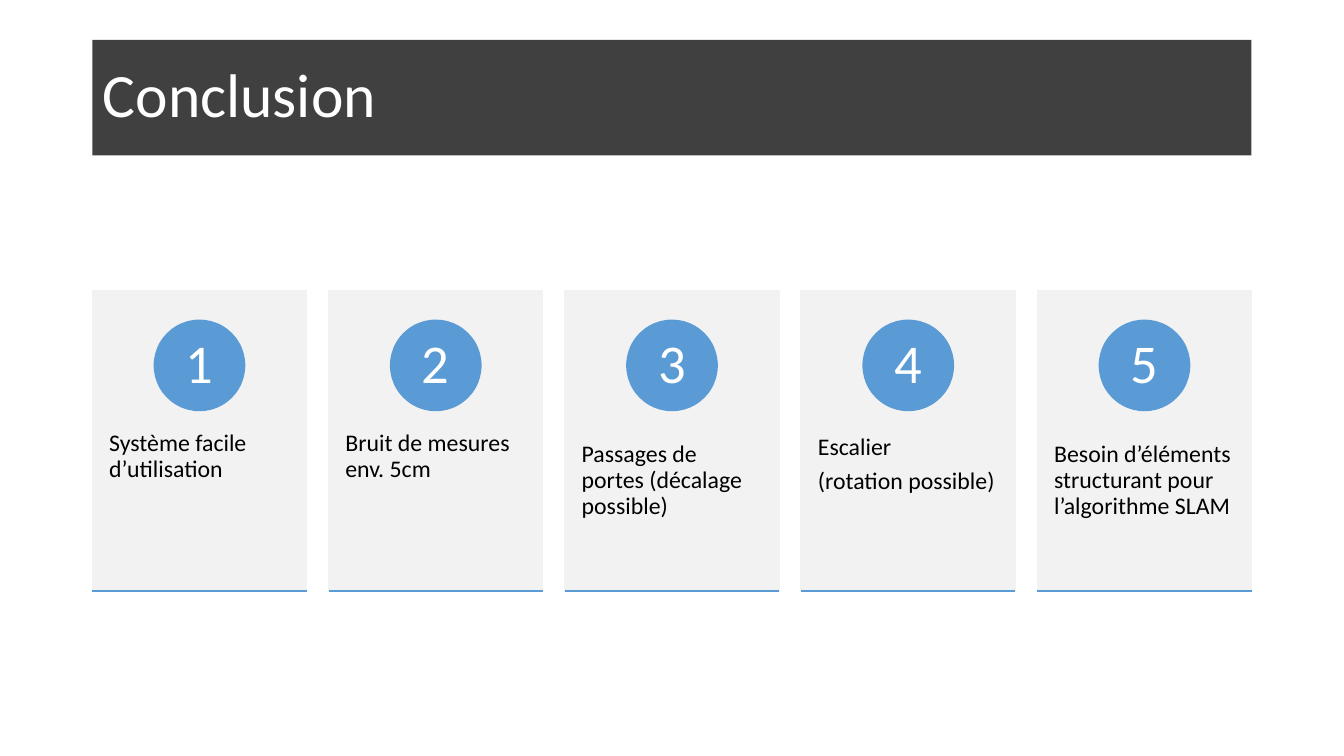
import dataclasses

import pptx
import pptx.dml.color
import pptx.enum.shapes
import pptx.enum.text
import pptx.util
from lxml import etree

EMU_PER_PX = 9525
SHAPES = pptx.enum.shapes.MSO_SHAPE
ALIGN = pptx.enum.text.PP_ALIGN
ANCHOR = pptx.enum.text.MSO_ANCHOR


@dataclasses.dataclass(frozen=True)
class Theme:
    font: str = "Calibri"
    banner: str = "404040"
    card: str = "F2F2F2"
    accent: str = "5B9BD5"
    light_text: str = "FFFFFF"
    dark_text: str = "000000"
    title_size: int = 44
    number_size: int = 39
    body_size: int = 17
    paragraph_gap: int = 6
    line_width: int = 1


THEME = Theme()
TITLE = "Conclusion"
CARDS = [
    ["Système facile d’utilisation"],
    ["Bruit de mesures env. 5cm"],
    ["Passages de portes (décalage possible)"],
    ["Escalier", "(rotation possible)"],
    ["Besoin d’éléments structurant pour l’algorithme SLAM"],
]

# Layout in px
LEFT = 88
CONTENT_WIDTH = 1104
CARD_TOP, CARD_WIDTH, CARD_HEIGHT = 277, 204, 286
CARD_PITCH = (CONTENT_WIDTH - CARD_WIDTH) // (len(CARDS) - 1)
CIRCLE_TOP, CIRCLE_SIZE = 305, 86
BODY_TOP, BODY_HEIGHT = 386, 172


def px(length):
    return pptx.util.Emu(length * EMU_PER_PX)


def rgb(color):
    return pptx.dml.color.RGBColor.from_string(color)


def add_filled(page, kind, bounds, color, outlined=True):
    shape = page.shapes.add_shape(kind, *map(px, bounds))
    shape.shadow.inherit = False
    shape.fill.solid()
    shape.fill.fore_color.rgb = rgb(color)
    if outlined:
        shape.line.color.rgb = rgb(color)
        shape.line.width = pptx.util.Pt(THEME.line_width)
    else:
        shape.line.fill.background()
    return shape


def write_text(shape, lines, size, color, align=ALIGN.LEFT,
               anchor=ANCHOR.MIDDLE, insets=(10, 5)):
    frame = shape.text_frame
    frame.word_wrap = True
    frame.vertical_anchor = anchor
    frame.margin_left = frame.margin_right = px(insets[0])
    frame.margin_top = frame.margin_bottom = px(insets[1])
    frame.text = "\n".join(lines)
    for para in frame.paragraphs:
        para.alignment = align
        para.line_spacing = 0.9
        para.space_after = pptx.util.Pt(THEME.paragraph_gap if len(lines) > 1 else 0)
        para.font.name = THEME.font
        para.font.size = pptx.util.Pt(size)
        para.font.color.rgb = rgb(color)


def add_rule(page, left, top, width):
    rule = page.shapes.add_connector(
        pptx.enum.shapes.MSO_CONNECTOR.STRAIGHT,
        px(left), px(top), px(left + width), px(top))
    rule.line.color.rgb = rgb(THEME.accent)
    rule.line.width = pptx.util.Pt(THEME.line_width)
    properties = rule._element.spPr
    etree.SubElement(properties, pptx.oxml.ns.qn("a:effectLst"))


def add_card(page, number, lines):
    left = LEFT + (number - 1) * CARD_PITCH
    add_filled(page, SHAPES.RECTANGLE,
               (left, CARD_TOP, CARD_WIDTH, CARD_HEIGHT), THEME.card)

    # Description
    body = page.shapes.add_textbox(
        px(left), px(BODY_TOP), px(CARD_WIDTH), px(BODY_HEIGHT))
    write_text(body, lines, THEME.body_size, THEME.dark_text,
               anchor=ANCHOR.TOP, insets=(16, 35))

    # Numbered circle
    circle_left = left + (CARD_WIDTH - CIRCLE_SIZE) // 2
    circle = add_filled(page, SHAPES.OVAL,
                        (circle_left, CIRCLE_TOP, CIRCLE_SIZE, CIRCLE_SIZE),
                        THEME.accent)
    write_text(circle, [str(number)], THEME.number_size, THEME.light_text,
               align=ALIGN.CENTER, insets=(7, 1))

    add_rule(page, left, CARD_TOP + CARD_HEIGHT, CARD_WIDTH)


def main():
    deck = pptx.Presentation()
    deck.slide_width, deck.slide_height = px(1280), px(720)
    page = deck.slides.add_slide(deck.slide_layouts[6])

    # Title banner
    banner = add_filled(page, SHAPES.RECTANGLE, (LEFT, 38, CONTENT_WIDTH, 110),
                        THEME.banner, outlined=False)
    write_text(banner, [TITLE], THEME.title_size, THEME.light_text)

    # Numbered cards
    for number, lines in enumerate(CARDS, start=1):
        add_card(page, number, lines)

    deck.save("out.pptx")


if __name__ == "__main__":
    main()
